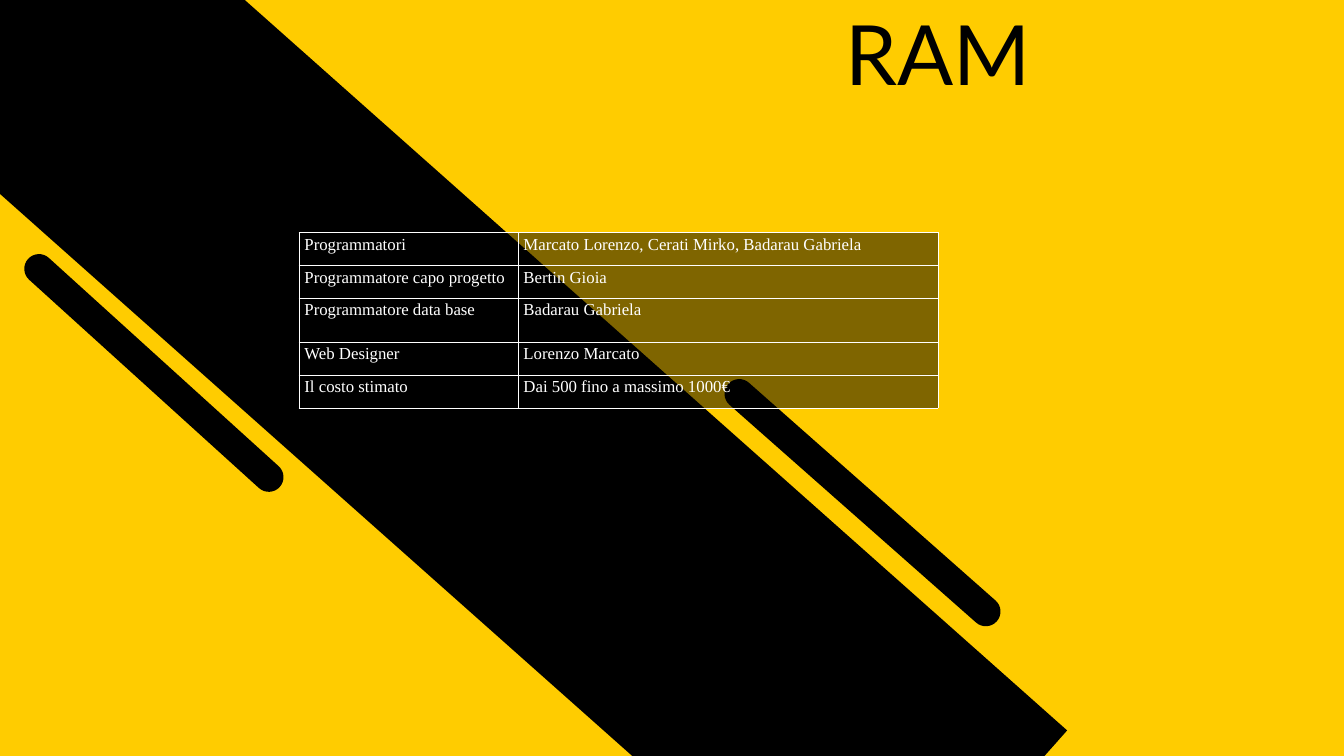
import pptx
import pptx.dml.color
import pptx.enum.text
import pptx.oxml
import pptx.oxml.ns
import pptx.util

YELLOW = pptx.dml.color.RGBColor(0xFF, 0xCC, 0x00)
BLACK = pptx.dml.color.RGBColor(0x00, 0x00, 0x00)
WHITE = pptx.dml.color.RGBColor(0xFF, 0xFF, 0xFF)

COLUMNS, ROWS = 20, 11.25

TEAM = [
    ("Programmatori", "Marcato Lorenzo, Cerati Mirko, Badarau Gabriela"),
    ("Programmatore capo progetto", "Bertin Gioia"),
    ("Programmatore data base", "Badarau Gabriela"),
    ("Web Designer", "Lorenzo Marcato"),
    ("Il costo stimato", "Dai 500 fino a massimo 1000€"),
]


class Painter:
    title_font = "Lato"
    body_font = "Times New Roman"

    def __init__(self, deck):
        self.deck = deck
        self.page = deck.slides.add_slide(deck.slide_layouts[6])
        self.page.background.fill.solid()
        self.page.background.fill.fore_color.rgb = YELLOW

    def across(self, columns):
        return round(self.deck.slide_width * columns / COLUMNS)

    def down(self, rows):
        return round(self.deck.slide_height * rows / ROWS)

    def place(self, left, top, width, height):
        return self.across(left), self.down(top), self.across(width), self.down(height)

    def style(self, para, size, font, color):
        for span in para.runs:
            span.font.size = pptx.util.Pt(size)
            span.font.name = font
            span.font.color.rgb = color

    def band(self, corners):
        points = [(self.across(x), self.down(y)) for x, y in corners]
        builder = self.page.shapes.build_freeform(*points[0])
        builder.add_line_segments(points[1:], close=True)
        band = builder.convert_to_shape()
        band.shadow.inherit = False
        band.fill.solid()
        band.fill.fore_color.rgb = BLACK
        band.line.fill.background()

    def stripe(self, start, end):
        stripe = self.page.shapes.add_connector(
            pptx.enum.shapes.MSO_CONNECTOR.STRAIGHT,
            self.across(start[0]), self.down(start[1]),
            self.across(end[0]), self.down(end[1]),
        )
        stripe.line.color.rgb = BLACK
        stripe.line.width = pptx.util.Pt(31.5)
        properties = stripe.element.spPr
        properties.find(pptx.oxml.ns.qn("a:ln")).set("cap", "rnd")
        properties.append(pptx.oxml.parse_xml(f"<a:effectLst {pptx.oxml.ns.nsdecls('a')}/>"))

    def title(self, text, *area):
        box = self.page.shapes.add_textbox(*self.place(*area))
        frame = box.text_frame
        frame.word_wrap = True
        frame.margin_left = frame.margin_right = frame.margin_top = frame.margin_bottom = 0
        frame.text = text
        para = frame.paragraphs[0]
        para.alignment = pptx.enum.text.PP_ALIGN.CENTER
        para.line_spacing = pptx.util.Pt(96.2)
        self.style(para, 89, self.title_font, BLACK)

    def table(self, records, left, top, widths, heights):
        table = self.page.shapes.add_table(
            len(heights), len(widths),
            *self.place(left, top, sum(widths), sum(heights)),
        ).table
        table.first_row = table.horz_banding = False
        for column, width in zip(table.columns, widths):
            column.width = self.across(width)
        for row, height, record in zip(table.rows, heights, records):
            row.height = self.down(height)
            for cell, text in zip(row.cells, record):
                self.cell(cell, text)

    def cell(self, cell, text):
        cell.margin_left = cell.margin_right = self.across(0.08)
        cell.margin_top = cell.margin_bottom = self.down(0.04)
        cell.text_frame.text = text
        self.style(cell.text_frame.paragraphs[0], 18, self.body_font, WHITE)
        properties = cell._tc.get_or_add_tcPr()
        for side in "LRTB":
            properties.append(pptx.oxml.parse_xml(
                f'<a:ln{side} {pptx.oxml.ns.nsdecls("a")} w="{pptx.util.Pt(0.75)}">'
                f'<a:solidFill><a:srgbClr val="{WHITE}"/></a:solidFill></a:ln{side}>'
            ))
        cell.fill.solid()
        cell.fill.fore_color.rgb = BLACK
        color = properties.find(pptx.oxml.ns.qn("a:solidFill"))[0]
        color.append(pptx.oxml.parse_xml(f'<a:alpha {pptx.oxml.ns.nsdecls("a")} val="50000"/>'))


def main():
    deck = pptx.Presentation()
    deck.slide_width = pptx.util.Inches(20)
    deck.slide_height = pptx.util.Inches(11.25)
    painter = Painter(deck)
    painter.band([(12.84, 14.3), (-3, 0.22), (0.04, -3.2), (15.88, 10.87)])
    painter.stripe((11, 5.86), (14.67, 9.1))
    painter.stripe((4, 7.1), (0.58, 4))
    painter.title("RAM", 6.83, 0.19, 14.25, 1.35)
    painter.table(TEAM, 4.45, 3.46, [3.26, 6.25], [0.49, 0.49, 0.65, 0.49, 0.49])
    deck.save("out.pptx")


if __name__ == "__main__":
    import pptx.enum.shapes
    main()
